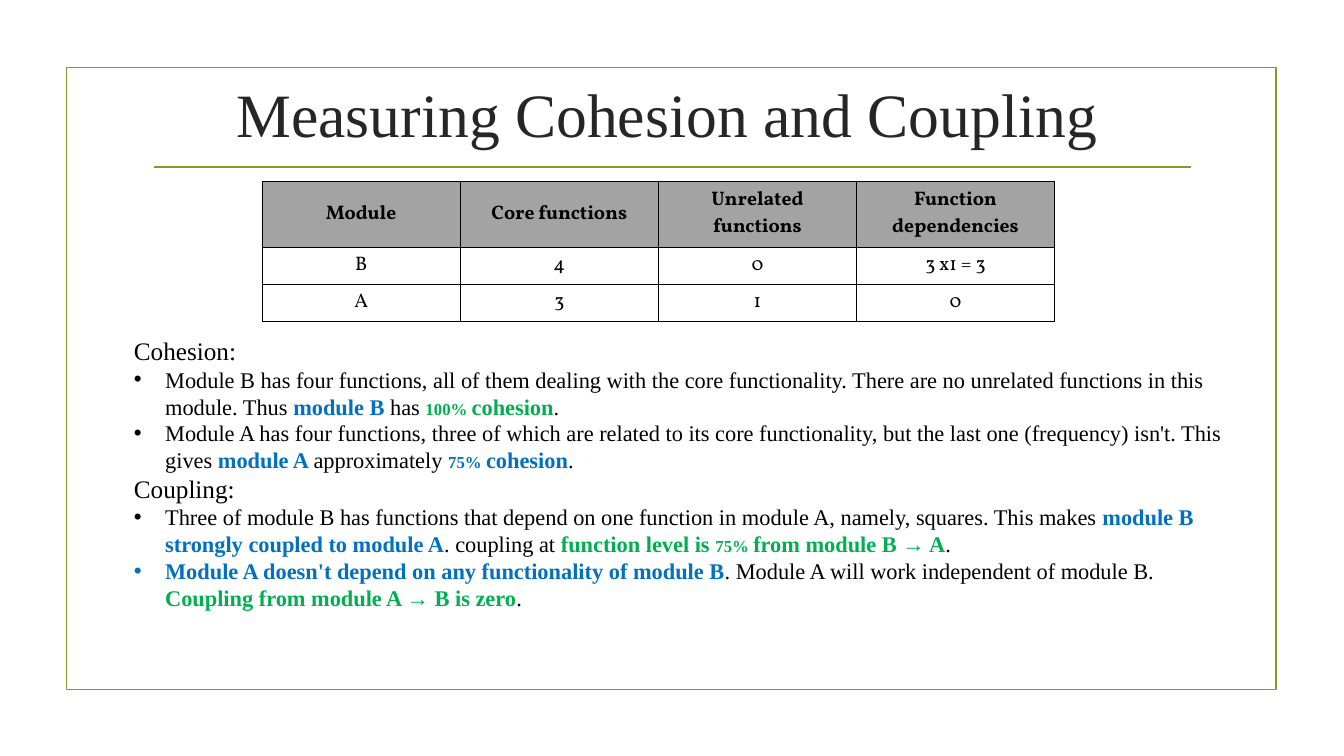
from pptx import Presentation
from pptx import util as u
from pptx.dml.color import RGBColor
from pptx.enum import shapes, text
from pptx.oxml.ns import qn
from lxml import etree

SERIF, TABLE_FONT = "Times New Roman", "Vollkorn"
OLIVE, BLACK, BLUE, GREEN = "83992A", "000000", "0070C0", "00B050"
HANGING = u.Inches(0.31)

TABLE_ROWS = [
    ["Module", "Core functions", "Unrelated functions", "Function dependencies"],
    ["B", "4", "0", "3 x1 = 3"],
    ["A", "3", "1", "0"],
]

# Each section: heading, then bullets made of (words, colour, size) spans.
SECTIONS = [
    ("Cohesion:", [
        [("Module B has four functions, all of them dealing with the core functionality. "
          "There are no unrelated functions in this module. Thus ", BLACK, 16),
         ("module B", BLUE, 16), (" has ", BLACK, 16),
         ("100% ", GREEN, 12), ("cohesion", GREEN, 16), (".", BLACK, 16)],
        [("Module A has four functions, three of which are related to its core functionality, "
          "but the last one (frequency) isn't. This gives ", BLACK, 16),
         ("module A ", BLUE, 16), ("approximately ", BLACK, 16),
         ("75% ", BLUE, 12), ("cohesion", BLUE, 16), (".", BLACK, 16)],
    ]),
    ("Coupling:", [
        [("Three of module B has functions that depend on one function in module A, "
          "namely, squares. This makes ", BLACK, 16),
         ("module B strongly coupled to module A", BLUE, 16), (". coupling at ", BLACK, 16),
         ("function level is ", GREEN, 16), ("75% ", GREEN, 12),
         ("from module B → A", GREEN, 16), (".", BLACK, 16)],
        [("Module A doesn't depend on any functionality of module B", BLUE, 16),
         (". Module A will work independent of module B. ", BLACK, 16),
         ("Coupling from module A → B is zero", GREEN, 16), (".", BLACK, 16)],
    ]),
]


def rgb(colour):
    return RGBColor.from_string(colour)


def style(font, name, size, colour, bold=False):
    font.name, font.size, font.bold = name, u.Pt(size), bold
    font.color.rgb = rgb(colour)


def add_frame(page):
    frame = page.shapes.add_shape(shapes.MSO_SHAPE.RECTANGLE, u.Inches(0.66), u.Inches(0.67),
                                  u.Inches(12), u.Inches(6.17))
    frame.shadow.inherit = False
    frame.fill.background()
    frame.line.color.rgb = rgb(OLIVE)
    frame.line.width = u.Pt(1.25)


def add_title_rule(page):
    rule = page.shapes.add_connector(shapes.MSO_CONNECTOR.STRAIGHT, u.Inches(1.53),
                                     u.Inches(1.66), u.Inches(11.81), u.Inches(1.66))
    rule.line.color.rgb = rgb(OLIVE)
    rule.line.width = u.Pt(1.25)
    etree.SubElement(rule.element.spPr, qn("a:effectLst"))


def add_text_frame(page, left, top, width, height):
    box = page.shapes.add_textbox(*map(u.Inches, (left, top, width, height)))
    box.text_frame.word_wrap = True
    return box.text_frame


def add_title(page):
    frame = add_text_frame(page, 1.15, 0.68, 11.09, 0.88)
    frame.vertical_anchor = text.MSO_ANCHOR.MIDDLE
    para = frame.paragraphs[0]
    para.text = "Measuring Cohesion and Coupling "
    para.alignment = text.PP_ALIGN.CENTER
    style(para.font, SERIF, 44, "262626")


def add_borders(cell):
    """Outline a cell; borders must precede the fill in its properties."""
    properties = cell._tc.get_or_add_tcPr()
    for position, side in enumerate(("lnL", "lnR", "lnT", "lnB")):
        border = etree.Element(qn(f"a:{side}"), w=str(u.Pt(0.5)))
        fill = etree.SubElement(border, qn("a:solidFill"))
        etree.SubElement(fill, qn("a:srgbClr"), val=BLACK)
        properties.insert(position, border)


def add_module_table(page):
    table = page.shapes.add_table(len(TABLE_ROWS), len(TABLE_ROWS[0]), u.Inches(2.6),
                                  u.Inches(1.8), u.Inches(7.86), u.Inches(1.39)).table
    for row_index, words in enumerate(TABLE_ROWS):
        header = row_index == 0
        table.rows[row_index].height = u.Inches(0.65 if header else 0.37)
        for column_index, word in enumerate(words):
            cell = table.cell(row_index, column_index)
            cell.vertical_anchor = text.MSO_ANCHOR.MIDDLE
            if header:
                cell.fill.solid()
                cell.fill.fore_color.rgb = rgb("A3A3A3")
            else:
                cell.fill.background()
            add_borders(cell)
            para = cell.text_frame.paragraphs[0]
            para.text = word
            para.alignment = text.PP_ALIGN.CENTER
            style(para.font, TABLE_FONT, 14, BLACK, header)


def add_bullet(para):
    properties = para._p.get_or_add_pPr()
    properties.set("marL", str(HANGING))
    properties.set("indent", str(-HANGING))
    etree.SubElement(properties, qn("a:buFont"), typeface="Arial")
    etree.SubElement(properties, qn("a:buChar"), char="•")


def add_sections(page):
    frame = add_text_frame(page, 1.23, 3.28, 11.01, 2.96)
    para = frame.paragraphs[0]
    for index, (heading, bullets) in enumerate(SECTIONS):
        if index:
            para = frame.add_paragraph()
        para.text = heading
        style(para.font, SERIF, 18, BLACK)
        for spans in bullets:
            para = frame.add_paragraph()
            add_bullet(para)
            for words, colour, size in spans:
                span = para.add_run()
                span.text = words
                style(span.font, SERIF, size, colour, bold=colour != BLACK)


def main():
    deck = Presentation()
    deck.slide_width, deck.slide_height = u.Inches(13.33), u.Inches(7.5)
    page = deck.slides.add_slide(deck.slide_layouts[6])
    add_frame(page)
    add_title_rule(page)
    add_title(page)
    add_module_table(page)
    add_sections(page)
    deck.save("out.pptx")


if __name__ == "__main__":
    main()
